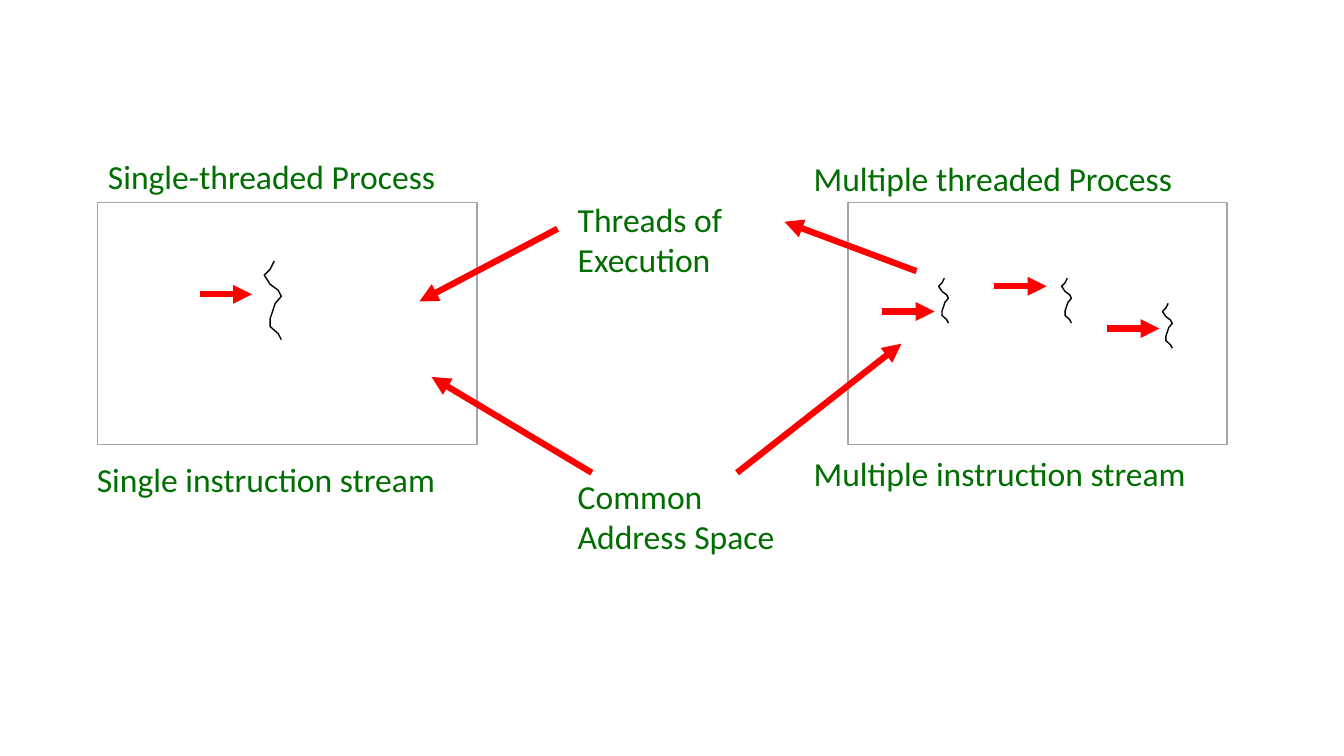
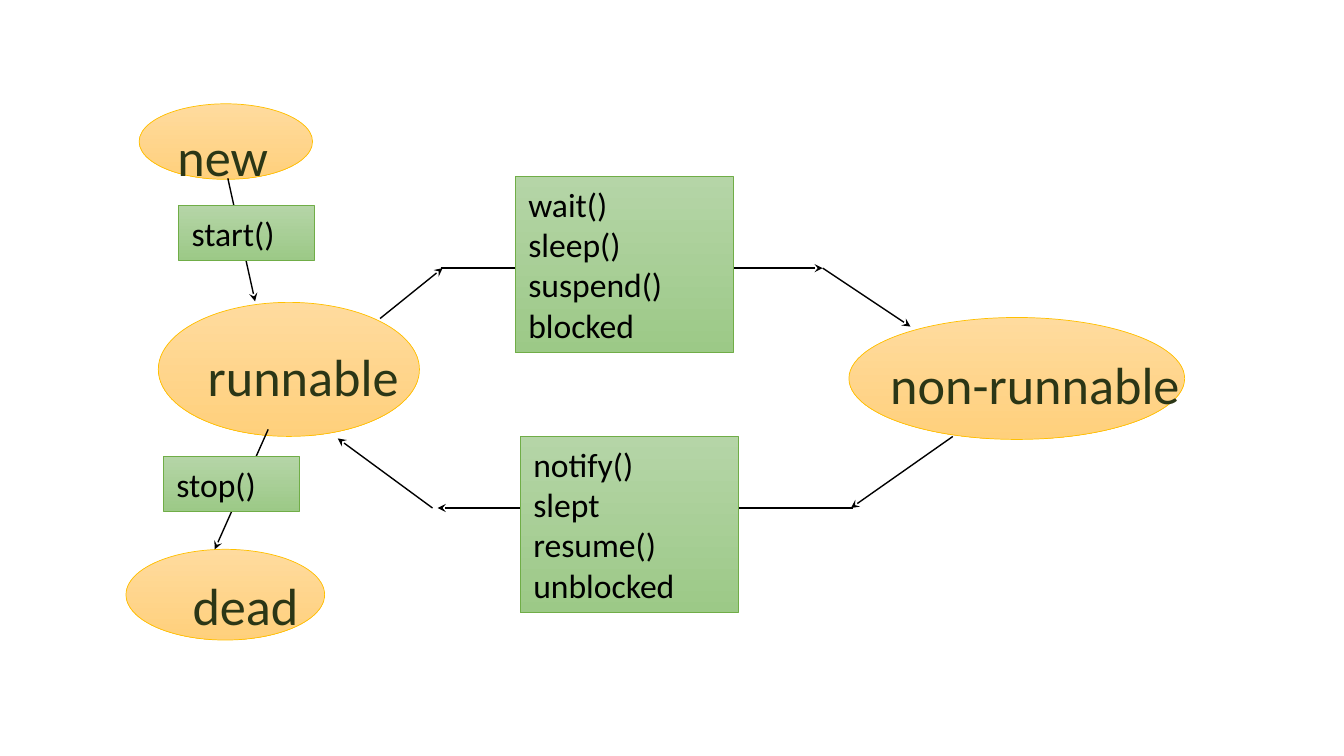
from pptx import Presentation
from pptx.dml.color import RGBColor
from pptx.enum.shapes import MSO_CONNECTOR as Connector, MSO_SHAPE as Preset
from pptx.enum.text import MSO_ANCHOR as Anchor, MSO_AUTO_SIZE as AutoSize, PP_ALIGN as Align
from pptx.oxml.ns import qn
from pptx.util import Inches, Pt
from lxml.etree import SubElement

WHITE = RGBColor(0xFF, 0xFF, 0xFF)
BLACK = RGBColor(0x00, 0x00, 0x00)
RED = RGBColor(0xFF, 0x00, 0x00)
GRAY = RGBColor(0xA5, 0xA5, 0xA5)
LABEL_GREEN = RGBColor(0x00, 0x6E, 0x00)
STATE_TEXT = RGBColor(0x2B, 0x36, 0x16)
STATE_LINE = RGBColor(0xFF, 0xC0, 0x00)
STATE_FILL = RGBColor(0xFF, 0xDB, 0x9E), RGBColor(0xFF, 0xD0, 0x7C)
CALL_LINE = RGBColor(0x70, 0xAD, 0x47)
CALL_FILL = RGBColor(0xB5, 0xD5, 0xA7), RGBColor(0x9C, 0xC9, 0x87)

SQUIGGLE = [
    (0.1, 0), (0.06, 0.08), (0, 0.14), (0.06, 0.23), (0.14, 0.29), (0.17, 0.35),
    (0.11, 0.42), (0.09, 0.48), (0.06, 0.57), (0.06, 0.65), (0.14, 0.72), (0.17, 0.78),
]


class Deck:
    """Draws styled diagram elements on the current slide."""

    font = "Calibri"
    label_size = 24
    state_size = 37.3

    def __init__(self):
        self.presentation = Presentation()
        self.presentation.slide_width = Inches(13.33)
        self.presentation.slide_height = Inches(7.5)
        self.slide = None

    def new_slide(self):
        self.slide = self.presentation.slides.add_slide(self.presentation.slide_layouts[6])

    def set_text(self, frame, lines, size, color, wrap, inset):
        frame.word_wrap = wrap
        frame.auto_size = AutoSize.SHAPE_TO_FIT_TEXT
        frame.vertical_anchor = Anchor.TOP
        frame.margin_left = frame.margin_right = Inches(0.13)
        frame.margin_top = frame.margin_bottom = Inches(inset)
        frame.text = "\n".join(lines)
        for paragraph in frame.paragraphs:
            paragraph.alignment = Align.LEFT
            paragraph.font.name = self.font
            paragraph.font.size = Pt(size)
            paragraph.font.color.rgb = color

    def label(self, box, *lines, size=label_size, color=LABEL_GREEN, wrap=False, inset=0.06):
        shape = self.slide.shapes.add_textbox(*map(Inches, box))
        self.set_text(shape.text_frame, lines, size, color, wrap, inset)

    def shape(self, preset, box, line_color, line_width):
        shape = self.slide.shapes.add_shape(preset, *map(Inches, box))
        shape.shadow.inherit = False
        shape.line.color.rgb = line_color
        shape.line.width = Pt(line_width)
        return shape

    def gradient_shape(self, preset, box, line_color, colors):
        shape = self.shape(preset, box, line_color, 0.5)
        shape.fill.gradient()
        shape.fill.gradient_angle = 270
        for stop, color in zip(shape.fill.gradient_stops, colors):
            stop.color.rgb = color
        return shape

    def process(self, box):
        shape = self.shape(Preset.RECTANGLE, box, GRAY, 1)
        shape.fill.solid()
        shape.fill.fore_color.rgb = WHITE

    def state(self, box):
        self.gradient_shape(Preset.OVAL, box, STATE_LINE, STATE_FILL)

    def state_name(self, box, text):
        self.label(box, text, size=self.state_size, color=STATE_TEXT, inset=0.07)

    def calls(self, box, *lines):
        shape = self.gradient_shape(Preset.RECTANGLE, box, CALL_LINE, CALL_FILL)
        self.set_text(shape.text_frame, lines, self.label_size, BLACK, True, 0.07)

    def arrow(self, start, end, color=RED, width=4.5, head="triangle"):
        connector = self.slide.shapes.add_connector(
            Connector.STRAIGHT, *map(Inches, (*start, *end)))
        connector.line.color.rgb = color
        connector.line.width = Pt(width)
        properties = connector._element.spPr
        SubElement(properties.get_or_add_ln(), qn("a:tailEnd"), type=head)
        SubElement(properties, qn("a:effectLst"))

    def transition(self, start, end):
        self.arrow(start, end, BLACK, 1, "stealth")

    def thread(self, left, top, tip, scale=1.0):
        points = [(Inches(left + x * scale), Inches(top + y * scale)) for x, y in SQUIGGLE]
        builder = self.slide.shapes.build_freeform(*points[0])
        builder.add_line_segments(points[1:], close=False)
        shape = builder.convert_to_shape()
        shape.shadow.inherit = False
        shape.fill.background()
        shape.line.color.rgb = BLACK
        shape.line.width = Pt(1)
        self.arrow((tip[0] - 0.52, tip[1]), tip)


def threading_slide(deck):
    deck.new_slide()
    deck.process((0.97, 2.01, 3.76, 2.4))
    deck.thread(2.62, 2.59, (2.5, 2.92))
    deck.label((0.94, 1.49, 3.55, 0.53), "Single-threaded Process")
    deck.label((0.83, 4.49, 5.69, 0.53), "Single instruction stream", wrap=True)

    deck.process((8.41, 2.01, 3.76, 2.4))
    for left, top, tip in [
        (10.53, 2.76, (10.38, 2.84)),
        (11.53, 3.01, (11.5, 3.26)),
        (9.31, 2.76, (9.27, 3.09)),
    ]:
        deck.thread(left, top, tip, 0.57)
    deck.label((7.94, 4.43, 5.13, 0.53), "Multiple instruction stream", wrap=True)
    deck.label((7.94, 1.51, 4.8, 0.53), "Multiple threaded Process", wrap=True)

    deck.label((5.6, 1.91, 1.72, 0.94), "Threads of", "Execution")
    deck.label((5.6, 4.66, 2.24, 0.94), "Common", "Address Space")
    for start, end in [
        ((5.87, 4.69), (4.28, 3.74)),
        ((5.53, 2.27), (4.16, 2.99)),
        ((7.31, 4.69), (8.94, 3.41)),
        ((9.09, 2.69), (7.78, 2.2)),
    ]:
        deck.arrow(start, end)


def life_cycle_slide(deck):
    deck.new_slide()
    states = [
        ("new", (1.38, 1.03, 1.72, 0.75), (1.63, 1.16, 1.18, 0.76)),
        ("non-runnable", (8.42, 3.15, 3.33, 1.21), (8.7, 3.43, 3.17, 0.76)),
        ("dead", (1.25, 5.45, 1.97, 0.9), (1.78, 5.62, 1.33, 0.76)),
        ("runnable", (1.57, 3, 2.59, 1.33), (1.93, 3.35, 2.19, 0.76)),
    ]
    for name, oval_box, name_box in states:
        deck.state(oval_box)
        deck.state_name(name_box, name)
    for start, end in [
        ((3.77, 3.16), (4.39, 2.66)),
        ((4.37, 2.66), (8.16, 2.66)),
        ((8.16, 2.66), (9.03, 3.24)),
        ((2.26, 1.77), (2.53, 2.99)),
        ((2.66, 4.26), (2.13, 5.45)),
        ((4.29, 5.04), (3.35, 4.35)),
        ((8.46, 5.04), (4.34, 5.04)),
        ((9.45, 4.33), (8.44, 5.04)),
    ]:
        deck.transition(start, end)
    deck.calls((5.11, 1.75, 2.16, 1.75), "wait()", "sleep()", "suspend()", "blocked")
    deck.calls((5.16, 4.33, 2.16, 1.75), "notify()", "slept", "resume()", "unblocked")
    deck.calls((1.77, 2.04, 1.35, 0.54), "start()")
    deck.calls((1.62, 4.53, 1.35, 0.54), "stop()")


def main():
    deck = Deck()
    threading_slide(deck)
    life_cycle_slide(deck)
    deck.presentation.save("out.pptx")


if __name__ == "__main__":
    main()
